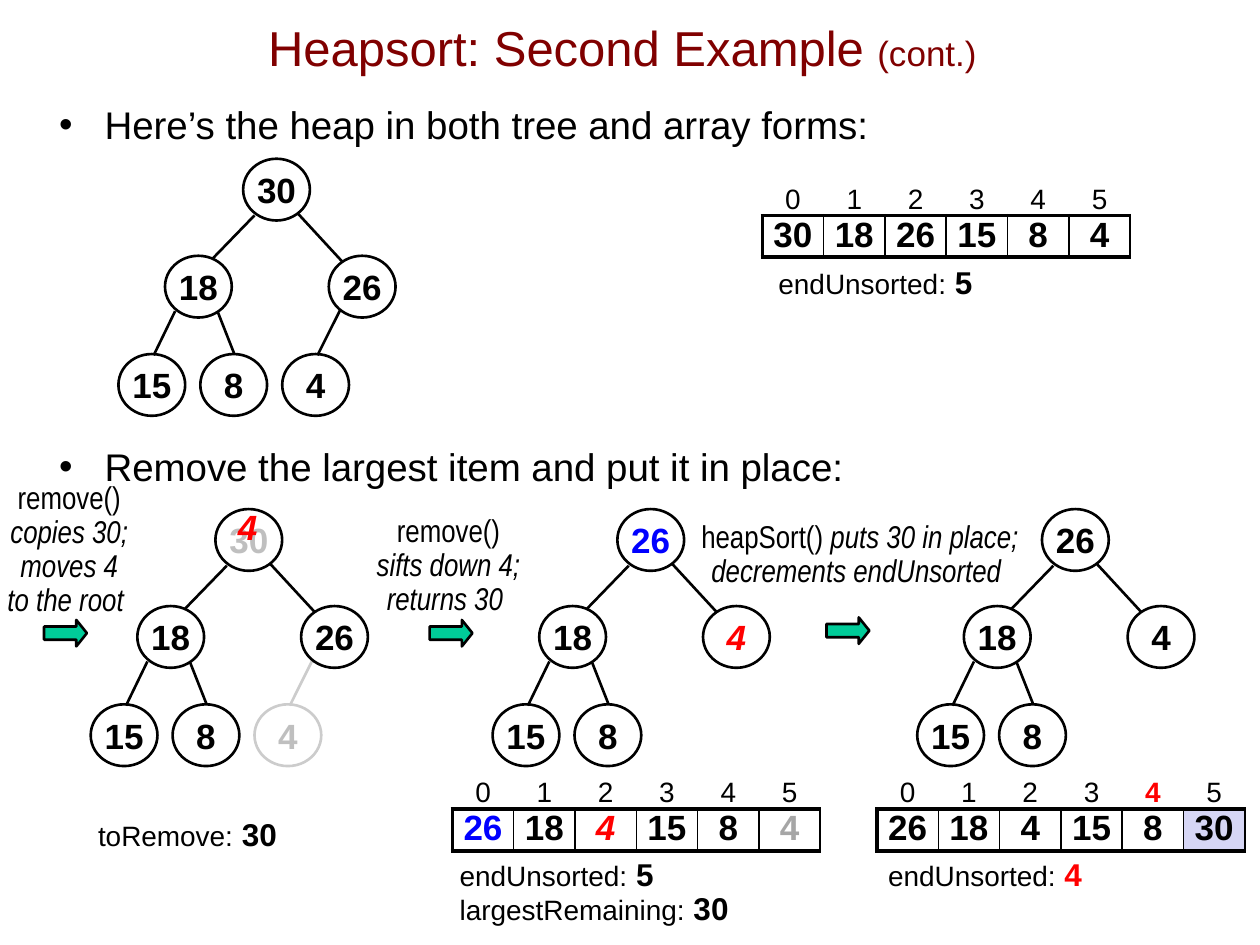
from lxml.etree import SubElement
from pptx import Presentation
from pptx.dml.color import RGBColor
from pptx.enum.shapes import MSO_CONNECTOR, MSO_SHAPE
from pptx.enum.text import MSO_ANCHOR, MSO_AUTO_SIZE, PP_ALIGN
from pptx.oxml.ns import qn
from pptx.util import Inches, Pt

# The slide is a grid of 100 columns by 75 rows.
SLIDE_WIDTH, SLIDE_HEIGHT = Inches(10), Inches(7.5)
COLUMN, ROW = SLIDE_WIDTH / 100, SLIDE_HEIGHT / 75

BLACK, RED, BLUE = "000000", "FF0000", "0000FF"
MAROON, GREEN, LILAC = "800000", "00CC99", "D6D6F5"
GHOST_TEXT, GHOST_LINE, SPENT = "BFBFBF", "CCCCCC", "A6A6A6"
NO_STYLE = "{2D5ABB26-0587-4C30-8999-92F81FD0307C}"

NODE_WIDTH, NODE_HEIGHT = 5.3, 4.9
# Both lists run in heap order, measured from the tree's top left corner.
NODES = [(9.9, 0), (3.7, 7.7), (16.7, 7.7), (0, 15.5), (6.5, 15.5), (13, 15.5)]
EDGES = [(10.8, 4.5, 7.5, 7.9), (14.2, 4.3, 17.8, 8.2), (4.5, 12.1, 2.8, 15.6),
         (7.9, 12.2, 9.2, 15.5), (17.6, 12, 15.8, 15.6)]
MOVED = {"color": RED, "italic": True}


def grid(*lengths):
    """Turn alternating columns and rows into slide lengths."""
    return [round(n * (ROW if i % 2 else COLUMN)) for i, n in enumerate(lengths)]


def rgb(color):
    return RGBColor.from_string(color)


def style(run, size, color=BLACK, bold=False, italic=False, font="Arial"):
    run.font.size, run.font.name = Pt(size), font
    run.font.bold, run.font.italic = bold, italic
    run.font.color.rgb = rgb(color)


def write(paragraph, *parts):
    """Fill a paragraph with (text, style) parts; a newline breaks the line."""
    for text, look in parts:
        for i, line in enumerate(text.split("\n")):
            if i:
                paragraph.add_line_break()
            run = paragraph.add_run()
            run.text = line
            style(run, **look)


def set_margins(frame, left, top, right, bottom):
    frame.margin_left, frame.margin_top = Inches(left), Inches(top)
    frame.margin_right, frame.margin_bottom = Inches(right), Inches(bottom)


def put(placeholder, box):
    placeholder.left, placeholder.top, placeholder.width, placeholder.height = grid(*box)
    placeholder.text_frame.auto_size = MSO_AUTO_SIZE.NONE


def add_heading(title, box):
    put(title, box)
    title.text_frame.vertical_anchor = MSO_ANCHOR.MIDDLE
    heading = title.text_frame.paragraphs[0]
    heading.alignment = PP_ALIGN.CENTER
    write(heading, ("Heapsort: Second Example ", {"size": 28, "color": MAROON}),
          ("(cont.)", {"size": 20, "color": MAROON}))


def add_steps(body, box):
    put(body, box)
    body.text_frame.text = ("Here’s the heap in both tree and array forms:\n"
                            "Remove the largest item and put it in place:")
    for step, gap in zip(body.text_frame.paragraphs, (0, 169)):
        step.space_before = Pt(gap)
        indent = Inches(0.36)
        properties = step._p.get_or_add_pPr()
        properties.set("marL", str(indent))
        properties.set("indent", str(-indent))
        style(step.runs[0], 22)


def add_node(slide, left, top, value, line=BLACK, **look):
    node = slide.shapes.add_shape(
        MSO_SHAPE.OVAL, *grid(left, top, NODE_WIDTH, NODE_HEIGHT))
    node.shadow.inherit = False
    node.fill.background()
    if line:
        node.line.color.rgb, node.line.width = rgb(line), Pt(1.5)
    else:
        node.line.fill.background()
    frame = node.text_frame
    set_margins(frame, 0, 0, 0, 0)
    frame.vertical_anchor = MSO_ANCHOR.MIDDLE
    frame.text = str(value)
    frame.paragraphs[0].alignment = PP_ALIGN.CENTER
    style(frame.paragraphs[0].runs[0], 20, bold=True, **look)


def add_tree(slide, left, top, values, looks={}):
    """Draw a heap; looks maps a heap index to its node's look."""
    for (x1, y1, x2, y2), child in zip(EDGES, range(1, len(values))):
        edge = slide.shapes.add_connector(
            MSO_CONNECTOR.STRAIGHT,
            *grid(left + x1, top + y1, left + x2, top + y2))
        edge.line.color.rgb = rgb(looks.get(child, {}).get("line", BLACK))
        edge.line.width = Pt(1.5)
        SubElement(edge._element.spPr, qn("a:effectLst"))
    for i, ((x, y), value) in enumerate(zip(NODES, values)):
        add_node(slide, left + x, top + y, value, **looks.get(i, {}))


def add_border(cell, side, width):
    line = SubElement(cell._tc.get_or_add_tcPr(), qn("a:ln" + side), w=str(Pt(width)))
    fill = SubElement(line, qn("a:solidFill"))
    SubElement(fill, qn("a:srgbClr"), val=BLACK)


def fill_cell(cell, text, anchor, **look):
    cell.vertical_anchor = anchor
    cell.text = str(text)
    cell.text_frame.paragraphs[0].alignment = PP_ALIGN.CENTER
    style(cell.text_frame.paragraphs[0].runs[0], **look)


def add_array(slide, left, top, values, looks={}, index_looks={}, shades={}):
    """Draw an array under its indexes; the dicts are keyed by index."""
    table = slide.shapes.add_table(
        2, len(values), *grid(left, top, 29.2, 6.5)).table
    table.first_row = table.horz_banding = False
    table._tbl.tblPr.find(qn("a:tableStyleId")).text = NO_STYLE
    table.rows[0].height, table.rows[1].height = Inches(0.32), Inches(0.33)
    for i, value in enumerate(values):
        index, item = table.cell(0, i), table.cell(1, i)
        set_margins(index, 0.1, 0.05, 0.1, 0)
        set_margins(item, 0, 0, 0, 0)
        add_border(index, "B", 2.25)
        for side, width in (("L", 1 if i else 2.25), ("R", 1), ("T", 2.25), ("B", 2.25)):
            add_border(item, side, width)
        index.fill.background()
        if i in shades:
            item.fill.solid()
            item.fill.fore_color.rgb = rgb(shades[i])
        else:
            item.fill.background()
        fill_cell(index, i, MSO_ANCHOR.BOTTOM, size=16, **index_looks.get(i, {}))
        fill_cell(item, value, MSO_ANCHOR.TOP, size=20, bold=True, **looks.get(i, {}))


def add_lines(slide, box, lines, spacing=0.9, alignment=PP_ALIGN.LEFT):
    """Add an unwrapped text box with one paragraph per list of parts."""
    frame = slide.shapes.add_textbox(*grid(*box)).text_frame
    frame.word_wrap = False
    for i, parts in enumerate(lines):
        paragraph = frame.add_paragraph() if i else frame.paragraphs[0]
        paragraph.line_spacing, paragraph.alignment = spacing, alignment
        write(paragraph, *parts)


def add_variables(slide, box, variables, spacing=0.9, color=BLACK):
    add_lines(slide, box, [
        [(name + ":", {"size": 16}), (" ", {"size": 18}),
         (str(value), {"size": 18, "bold": True, "color": color})]
        for name, value in variables.items()], spacing)


def add_action(slide, box, arrow_at, *lines):
    """Describe a step over an arrow; each line is a call and what it does."""
    plain = {"size": 18, "font": "Arial Narrow"}
    add_lines(slide, box, [
        [(text, {**plain, "italic": i > 0}) for i, text in enumerate(line) if text]
        for line in lines], alignment=PP_ALIGN.CENTER)
    arrow = slide.shapes.add_shape(MSO_SHAPE.RIGHT_ARROW, *grid(*arrow_at, 3.4, 2.1))
    arrow.shadow.inherit = False
    arrow.adjustments[1] = 0.4
    arrow.fill.solid()
    arrow.fill.fore_color.rgb = rgb(GREEN)
    arrow.line.color.rgb, arrow.line.width = rgb(BLACK), Pt(1.5)


def main():
    deck = Presentation()
    deck.slide_width, deck.slide_height = SLIDE_WIDTH, SLIDE_HEIGHT
    slide = deck.slides.add_slide(deck.slide_layouts[1])
    add_heading(slide.shapes.title, (6.4, -0.9, 86, 9.3))
    add_steps(slide.placeholders[1], (3.7, 7.5, 96.3, 61.4))

    heap = [30, 18, 26, 15, 8, 4]
    add_tree(slide, 9.4, 12.6, heap)
    add_array(slide, 60.5, 13.9, heap)
    add_variables(slide, (60.8, 20.4, 17.6, 4), {"endUnsorted": 5}, spacing=1)

    add_action(slide, (-0.5, 37.8, 12, 14.6), (3.5, 49.2),
               ["remove()"], ["", "copies 30;\nmoves 4\nto the root "])
    add_tree(slide, 7.2, 40.4, heap, {
        0: {"color": GHOST_TEXT}, 5: {"color": GHOST_TEXT, "line": GHOST_LINE}})
    add_node(slide, 17, 39.3, 4, line=None, **MOVED)
    add_variables(slide, (6.8, 64.2, 16.4, 4), {"toRemove": 30}, spacing=1)

    add_action(slide, (28.8, 40.4, 13.6, 11.9), (34.1, 49.2),
               ["remove()"], ["", "sifts down 4;\nreturns 30 "])
    sifted = [26, 18, 4, 15, 8]
    sifted_looks = {0: {"color": BLUE}, 2: MOVED}
    add_tree(slide, 39.1, 40.4, sifted, sifted_looks)
    add_array(slide, 35.9, 61, sifted + [4], {**sifted_looks, 5: {"color": SPENT}})
    add_variables(slide, (35.5, 67.7, 23.7, 9.5), {"endUnsorted": 5, "largestRemaining": 30})

    add_action(slide, (54.5, 40.9, 27.5, 9.2), (65.6, 49),
               ["heapSort()", " puts 30 in place;\ndecrements endUnsorted "])
    add_tree(slide, 72.8, 40.4, sifted)
    add_array(slide, 69.6, 61, sifted + [30], shades={5: LILAC},
              index_looks={4: {"color": RED, "bold": True}})
    add_variables(slide, (69.5, 67.7, 17.6, 6.5), {"endUnsorted": 4}, color=RED)
    deck.save("out.pptx")


if __name__ == "__main__":
    main()
